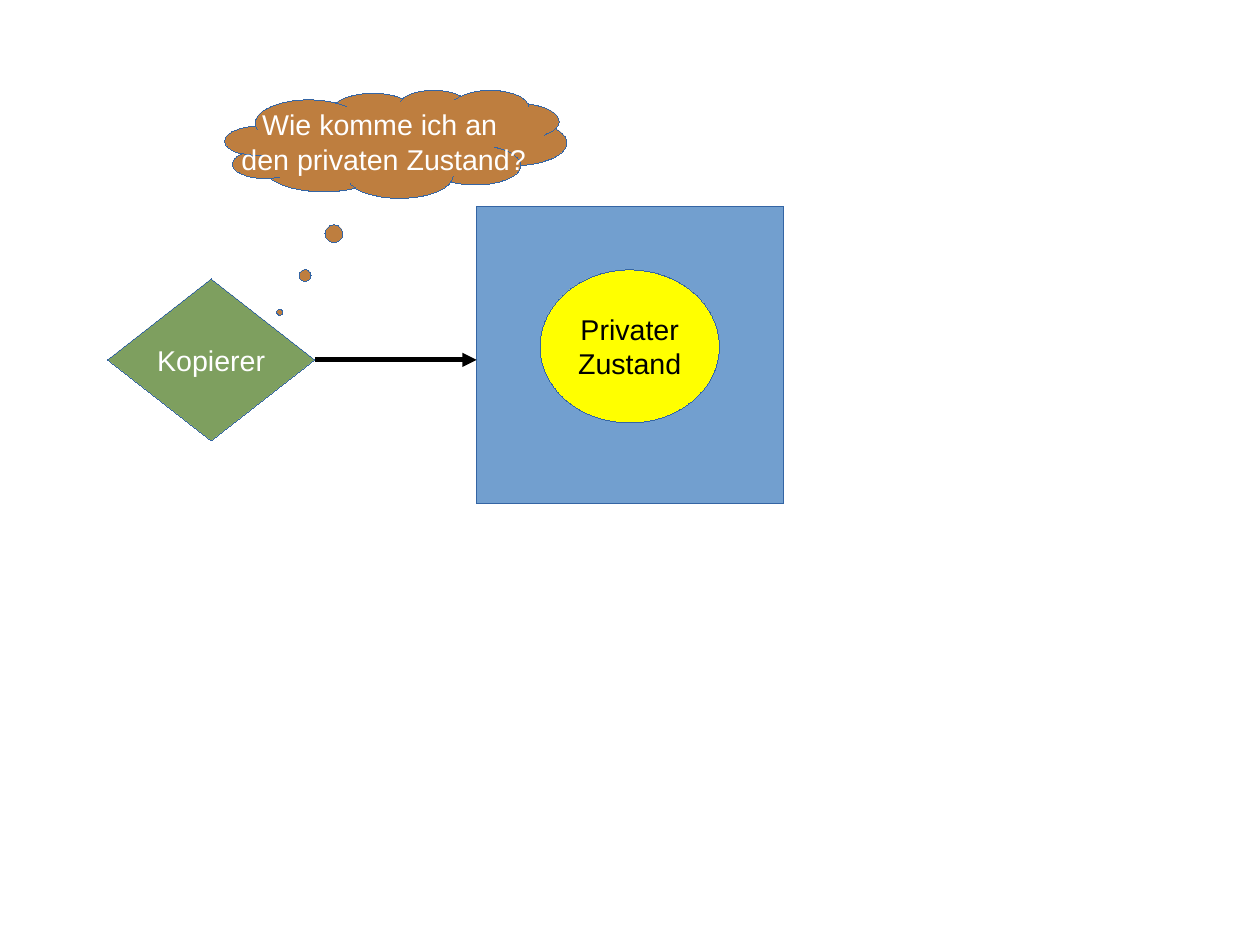
from lxml import etree
from pptx import Presentation
from pptx.dml.color import RGBColor
from pptx.enum.shapes import MSO_CONNECTOR, MSO_SHAPE
from pptx.enum.text import MSO_ANCHOR, PP_ALIGN
from pptx.oxml.ns import qn
from pptx.util import Pt

BLUE = RGBColor(0x72, 0x9F, 0xCF)
OUTLINE = RGBColor(0x34, 0x65, 0xA4)
YELLOW = RGBColor(0xFF, 0xFF, 0x00)
GREEN = RGBColor(0x7E, 0x9F, 0x5F)
BROWN = RGBColor(0xBE, 0x7E, 0x3F)
BLACK = RGBColor(0x00, 0x00, 0x00)
WHITE = RGBColor(0xFF, 0xFF, 0xFF)
HAIRLINE = Pt(0.01)

prs = Presentation()
prs.slide_width, prs.slide_height = Pt(793.7), Pt(595.28)
s = prs.slides.add_slide(prs.slide_layouts[6])


def add_node(kind, box, fill, text="", color=WHITE):
    sp = s.shapes.add_shape(kind, *[Pt(v) for v in box])
    sp.shadow.inherit = False
    sp.fill.solid()
    sp.fill.fore_color.rgb = fill
    sp.line.color.rgb = OUTLINE
    sp.line.width = HAIRLINE
    if text:
        tf = sp.text_frame
        tf.word_wrap = False
        tf.vertical_anchor = MSO_ANCHOR.MIDDLE
        tf.text = text
        for p in tf.paragraphs:
            p.alignment = PP_ALIGN.CENTER
            for r in p.runs:
                r.font.name = "Arial"
                r.font.size = Pt(18)
                r.font.color.rgb = color
    return sp


add_node(MSO_SHAPE.RECTANGLE, (300.3, 130.2, 193, 187), BLUE)
add_node(MSO_SHAPE.OVAL, (340.2, 170, 113, 96.4), YELLOW, "Privater\nZustand", BLACK)
add_node(MSO_SHAPE.DIAMOND, (67.8, 175.7, 130.5, 102), GREEN, "Kopierer")

arrow = s.shapes.add_connector(MSO_CONNECTOR.STRAIGHT, Pt(198.5), Pt(226.7), Pt(300.3), Pt(226.7))
arrow.line.color.rgb = BLACK
arrow.line.width = Pt(3)
ln = arrow._element.spPr.find(qn("a:ln"))
etree.SubElement(ln, qn("a:tailEnd"), type="triangle")
etree.SubElement(arrow._element.spPr, qn("a:effectLst"))

thought = add_node(MSO_SHAPE.CLOUD_CALLOUT, (141.7, 56.7, 215.3, 68), BROWN,
                   "Wie komme ich an \nden privaten Zustand?")
thought.adjustments[0] = -0.34
thought.adjustments[1] = 1.56

prs.save("out.pptx")
